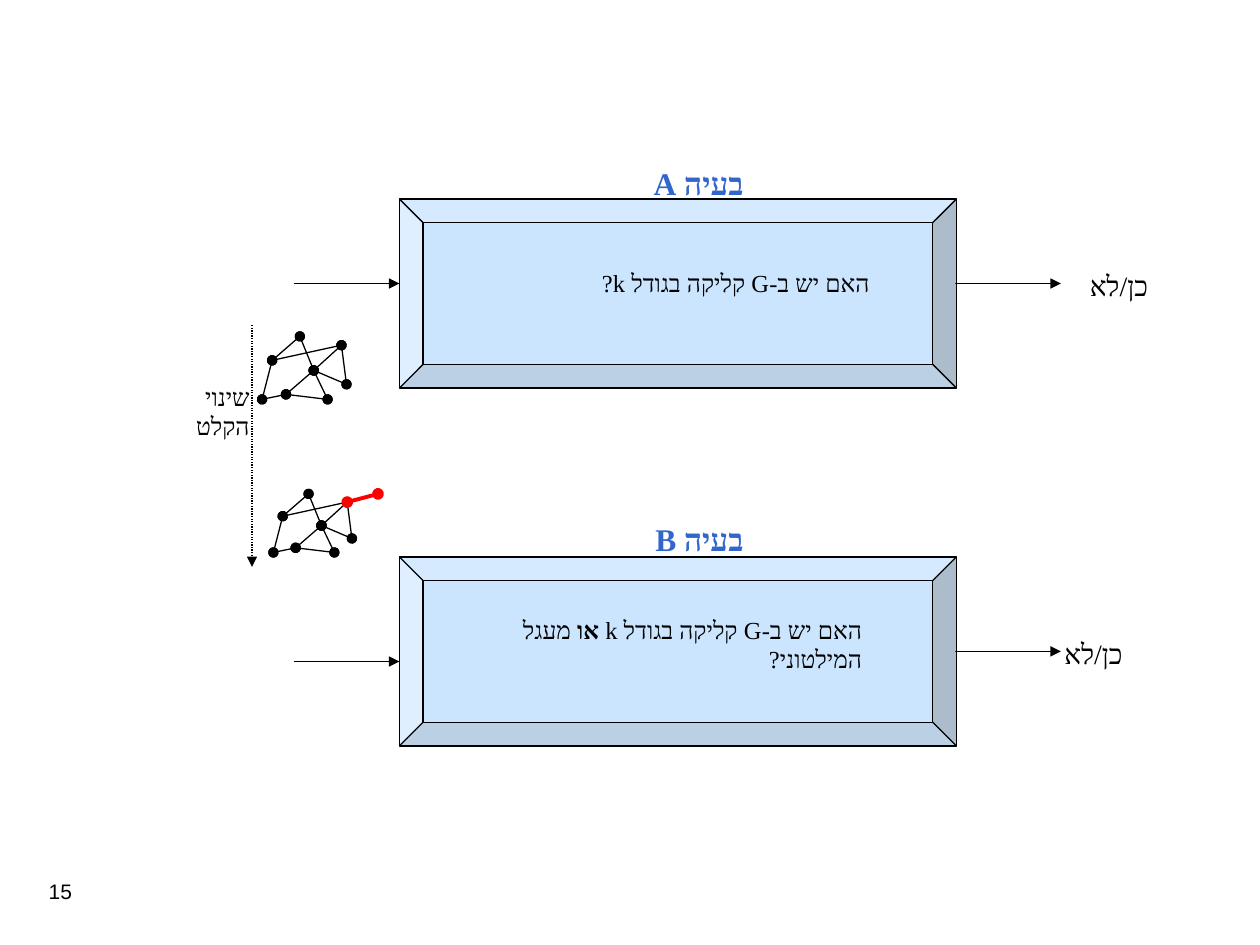
from lxml.etree import SubElement as Sub
from pptx import Presentation
from pptx.dml.color import RGBColor
from pptx.enum.dml import MSO_LINE
from pptx.enum.shapes import MSO_CONNECTOR, MSO_SHAPE
from pptx.enum.text import MSO_AUTO_SIZE, PP_ALIGN
from pptx.oxml.ns import qn
from pptx.util import Inches, Pt

BLACK = RGBColor(0x00, 0x00, 0x00)
RED = RGBColor(0xFF, 0x00, 0x00)
BLUE = RGBColor(0x33, 0x66, 0xCC)
SKY = RGBColor(0x99, 0xCC, 0xFF)

# Graph nodes, measured from the left and top of the graph
NODES = {
    "top": (0.3, 0), "hub": (0.41, 0.27), "west": (0.08, 0.19),
    "low": (0.19, 0.46), "north": (0.63, 0.07), "south": (0.52, 0.5),
    "left": (0, 0.5), "east": (0.67, 0.38),
}
EDGES = [
    ("top", "hub"), ("top", "west"), ("hub", "low"), ("north", "hub"),
    ("north", "west"), ("hub", "south"), ("west", "left"), ("south", "low"),
    ("hub", "east"), ("low", "left"), ("north", "east"),
]


class Board:
    serif = "Times New Roman"
    thin = 0.75

    def __init__(self, slide):
        self.slide = slide
        self.shapes = slide.shapes

    def line(self, start, end, color=BLACK, width=thin, head=None,
             tail="triangle", dash=None):
        link = self.shapes.add_connector(
            MSO_CONNECTOR.STRAIGHT, *map(Inches, start + end))
        link.line.color.rgb = color
        link.line.width = Pt(width)
        if dash:
            link.line.dash_style = dash
        props = link._element.spPr
        ln = props.find(qn("a:ln"))
        for tag, kind in (("a:headEnd", head), ("a:tailEnd", tail)):
            if kind:
                Sub(ln, qn(tag), type=kind)
        Sub(props, qn("a:effectLst"))

    def edge(self, start, end, color=BLACK, width=thin):
        self.line(start, end, color, width, head="oval", tail="oval")

    def graph(self, left, top, scale=1.0):
        spots = {name: (left + x * scale, top + y * scale)
                 for name, (x, y) in NODES.items()}
        for a, b in EDGES:
            self.edge(spots[a], spots[b])
        return spots

    def bevel(self, left, top, width, height):
        box = self.shapes.add_shape(
            MSO_SHAPE.BEVEL, *map(Inches, (left, top, width, height)))
        box.adjustments[0] = 0.125
        box.shadow.inherit = False
        box.fill.solid()
        box.fill.fore_color.rgb = SKY
        tint = box._element.spPr.find(qn("a:solidFill"))[0]
        Sub(tint, qn("a:alpha"), val="50000")
        box.line.color.rgb = BLACK
        box.line.width = Pt(self.thin)

    def text(self, area, parts, size, color=BLACK, font=serif, bold=False,
             align=PP_ALIGN.RIGHT, rtl=True, grow=True):
        """Write parts in turn; every second one is bold."""
        frame = self.shapes.add_textbox(*map(Inches, area)).text_frame
        frame.word_wrap = True
        if grow:
            frame.auto_size = MSO_AUTO_SIZE.SHAPE_TO_FIT_TEXT
        para = frame.paragraphs[0]
        para.alignment = align
        if rtl:
            para._p.get_or_add_pPr().set("rtl", "1")
        for i, part in enumerate(parts):
            run = para.add_run()
            run.text = part
            run.font.name = font
            run.font.size = Pt(size)
            run.font.bold = bold or i % 2 == 1
            run.font.color.rgb = color
            Sub(run._r.get_or_add_rPr(), qn("a:cs"), typeface=font)

    def problem(self, top, title, title_area, in_y, out_y):
        self.line((2.33, in_y), (3.17, in_y))
        self.line((7.58, out_y), (8.42, out_y))
        self.bevel(3.17, top, 4.42, 1.5)
        self.text(title_area, [title], 18, BLUE, bold=True)


def main():
    deck = Presentation()
    deck.slide_width, deck.slide_height = Inches(10), Inches(7.5)
    board = Board(deck.slides.add_slide(deck.slide_layouts[6]))

    # Slide number
    board.text((0, 6.92, 0.67, 0.5), ["15"], 12, font="Arial",
               rtl=False, grow=False)

    # The two problems with their input and output arrows
    board.problem(1.58, "בעיה A", (4.75, 1.25, 1.25, 0.4), 2.25, 2.25)
    board.problem(4.42, "בעיה B", (4.83, 4.08, 1.17, 0.4), 5.25, 5.17)

    # Questions and answers
    answer = ["כן/לא"]
    board.text((4, 2.08, 3, 0.33), ["האם יש ב-G קליקה בגודל k?"], 14)
    board.text((7.92, 2.08, 1.29, 0.37), answer, 16)
    board.text((8.35, 5, 0.83, 0.37), answer, 16,
               align=PP_ALIGN.LEFT, rtl=False)
    board.text((3.94, 4.83, 3, 0.57),
               ["האם יש ב-G קליקה בגודל k ", "או", " מעגל המילטוני?"], 14)

    # Change of input
    board.line((2, 2.58), (2, 4.5), dash=MSO_LINE.ROUND_DOT)
    board.text((1.08, 2.98, 1, 0.57), ["שינוי הקלט"], 14)

    # Graph before and after, with the added edge in red
    board.graph(2.08, 2.67)
    spots = board.graph(2.17, 3.92, 0.93)
    board.edge(spots["north"], (3, 3.92), RED, 2.25)

    deck.save("out.pptx")


if __name__ == "__main__":
    main()
